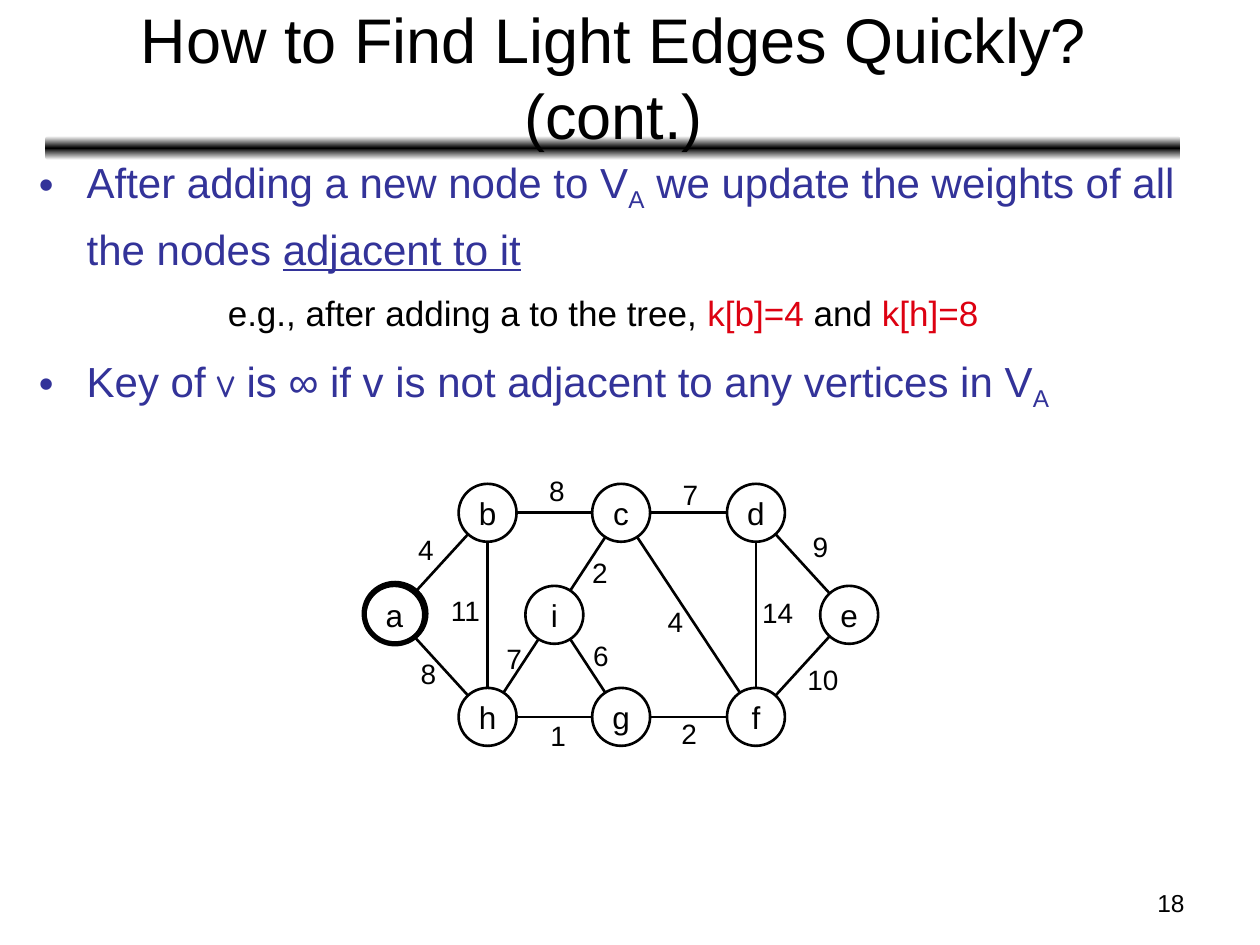
from copy import deepcopy
from math import hypot
from typing import NamedTuple, Optional

from lxml.etree import SubElement
from pptx import Presentation
from pptx.dml.color import RGBColor
from pptx.enum.shapes import MSO_CONNECTOR, MSO_SHAPE
from pptx.enum.text import MSO_ANCHOR, MSO_AUTO_SIZE, PP_ALIGN
from pptx.oxml.ns import qn
from pptx.util import Inches, Pt

COLORS = {"ink": "000000", "paper": "FFFFFF", "point": "333399", "key": "DD0111"}
FONT = "Arial"
NODE_SIZE = 0.46


class Piece(NamedTuple):
    text: str
    color: Optional[str] = None
    font: Optional[str] = None
    subscript: bool = False
    underline: bool = False


class Point(NamedTuple):
    pieces: list[Piece]
    size: int
    color: str
    margin: float
    space_before: int
    bullet: bool = True


class Edge(NamedTuple):
    start: str
    end: str
    weight: int
    label_left: float
    label_top: float


POINTS = [
    Point([Piece("After adding a new node to V"), Piece("A", subscript=True),
           Piece(" we update the weights of all the nodes "),
           Piece("adjacent to it", underline=True)], 24, "point", 0.38, 0),
    Point([Piece("e.g., after adding a to the tree, "), Piece("k[b]=4", "key"),
           Piece(" and "), Piece("k[h]=8", "key")], 20, "ink", 1.5, 5, bullet=False),
    Point([Piece("Key of "), Piece("v", font="Comic Neue"),
           Piece(" is ∞ if v is not adjacent to any vertices in V"),
           Piece("A", subscript=True)], 24, "point", 0.38, 6),
]

TOP, MIDDLE, BOTTOM = 4.07, 4.88, 5.69
NODE_CENTERS = {
    "a": (3.13, MIDDLE), "b": (3.87, TOP), "c": (4.93, TOP),
    "d": (6.0, TOP), "e": (6.74, MIDDLE), "h": (3.87, BOTTOM),
    "g": (4.93, BOTTOM), "f": (6.0, BOTTOM), "i": (4.4, MIDDLE),
}
EDGES = [
    Edge("a", "b", 4, 3.22, 4.18), Edge("b", "c", 8, 4.26, 3.71),
    Edge("c", "d", 7, 5.32, 3.74), Edge("a", "h", 8, 3.24, 5.16),
    Edge("b", "h", 11, 3.48, 4.66), Edge("h", "g", 1, 4.27, 5.65),
    Edge("g", "f", 2, 5.31, 5.64), Edge("h", "i", 7, 3.92, 5.04),
    Edge("i", "c", 2, 4.6, 4.36), Edge("c", "f", 4, 5.2, 4.75),
    Edge("d", "f", 14, 5.95, 4.68), Edge("d", "e", 9, 6.35, 4.15),
    Edge("f", "e", 10, 6.31, 5.21), Edge("i", "g", 6, 4.61, 5.02),
]


def rgb(color: str) -> RGBColor:
    return RGBColor.from_string(COLORS[color])


def set_font(font, size: int, color: str = "ink") -> None:
    font.name, font.size = FONT, Pt(size)
    font.color.rgb = rgb(color)


def add_label(shapes, text: str, box: tuple, size: int, align=PP_ALIGN.LEFT, wrap=False):
    label = shapes.add_textbox(*map(Inches, box))
    label.text_frame.word_wrap = wrap
    paragraph = label.text_frame.paragraphs[0]
    paragraph.text, paragraph.alignment = text, align
    set_font(paragraph.font, size)
    return label


def add_divider(slide) -> None:
    """Draw the bar that fades at both edges, behind the title."""
    bar = slide.shapes.add_shape(
        MSO_SHAPE.ROUNDED_RECTANGLE, Inches(0.36), Inches(1.08), Inches(9.01), Inches(0.19))
    bar.shadow.inherit = False
    bar.line.fill.background()
    bar.fill.gradient()
    bar.fill.gradient_angle = 90
    stops = next(bar.element.iter(qn("a:gsLst")))
    stops.append(deepcopy(stops[0]))
    for stop, position, color in zip(bar.fill.gradient_stops, (0, 0.5, 1),
                                     ("paper", "ink", "paper")):
        stop.position = position
        stop.color.rgb = rgb(color)
    slide.shapes.element.insert(2, bar.element)


def add_title(slide, text: str) -> None:
    title = slide.shapes.title
    title.left, title.top = Inches(0.37), Inches(0.11)
    title.width, title.height = Inches(9), Inches(0.99)
    frame = title.text_frame
    frame.text = text
    frame.auto_size = MSO_AUTO_SIZE.NONE
    frame.vertical_anchor = MSO_ANCHOR.MIDDLE
    frame.paragraphs[0].alignment = PP_ALIGN.CENTER
    set_font(frame.paragraphs[0].font, 36)


def format_point(paragraph, point: Point) -> None:
    paragraph.line_spacing = 1.2
    paragraph.space_before = Pt(point.space_before)
    properties = paragraph._p.get_or_add_pPr()
    properties.set("marL", str(Inches(point.margin)))
    if point.bullet:
        properties.set("indent", str(-Inches(point.margin)))
        bullet_color = SubElement(properties, qn("a:buClr"))
        SubElement(bullet_color, qn("a:srgbClr"), val=COLORS[point.color])
        SubElement(properties, qn("a:buFont"), typeface=FONT)
        SubElement(properties, qn("a:buChar"), char="•")
    set_font(paragraph.font, point.size, point.color)


def add_points(slide, points: list[Point]) -> None:
    body = slide.shapes.add_textbox(Inches(0.21), Inches(1.1), Inches(9.6), Inches(6.07))
    frame = body.text_frame
    frame.word_wrap = True
    for index, point in enumerate(points):
        paragraph = frame.add_paragraph() if index else frame.paragraphs[0]
        format_point(paragraph, point)
        for piece in point.pieces:
            run = paragraph.add_run()
            run.text = piece.text
            if piece.color:
                run.font.color.rgb = rgb(piece.color)
            if piece.font:
                run.font.name = piece.font
            if piece.underline:
                run.font.underline = True
            if piece.subscript:
                run.font._element.set("baseline", "-25000")


def add_circle(shapes, box: tuple, weight: float):
    circle = shapes.add_shape(MSO_SHAPE.OVAL, *map(Inches, box))
    circle.shadow.inherit = False
    circle.fill.background()
    circle.line.color.rgb, circle.line.width = rgb("ink"), Pt(weight)
    return circle


def add_node(shapes, name: str) -> None:
    x, y = NODE_CENTERS[name]
    radius = NODE_SIZE / 2
    node = add_circle(shapes, (x - radius, y - radius, NODE_SIZE, NODE_SIZE), 1.5)
    frame = node.text_frame
    frame.word_wrap = False
    frame.vertical_anchor = MSO_ANCHOR.MIDDLE
    frame.text = name
    frame.paragraphs[0].alignment = PP_ALIGN.CENTER
    set_font(frame.paragraphs[0].font, 18)


def add_edge(shapes, edge: Edge) -> None:
    """Join two node rims along the line between their centres, with the weight beside it."""
    (x1, y1), (x2, y2) = NODE_CENTERS[edge.start], NODE_CENTERS[edge.end]
    scale = NODE_SIZE / 2 / hypot(x2 - x1, y2 - y1)
    dx, dy = (x2 - x1) * scale, (y2 - y1) * scale
    line = shapes.add_connector(
        MSO_CONNECTOR.STRAIGHT, *map(Inches, (x1 + dx, y1 + dy, x2 - dx, y2 - dy)))
    line.line.color.rgb, line.line.width = rgb("ink"), Pt(1.5)
    SubElement(line.element.spPr, qn("a:effectLst"))
    width = 0.47 if edge.weight > 9 else 0.32
    label = add_label(shapes, str(edge.weight), (edge.label_left, edge.label_top, width, 0.37), 16)
    label.text_frame.auto_size = MSO_AUTO_SIZE.SHAPE_TO_FIT_TEXT


def main() -> None:
    deck = Presentation()
    deck.slide_width, deck.slide_height = Inches(10), Inches(7.5)
    slide = deck.slides.add_slide(deck.slide_layouts[5])
    add_divider(slide)
    add_label(slide.shapes, "18", (7.17, 7, 2.33, 0.35), 14, PP_ALIGN.RIGHT, wrap=True)
    add_title(slide, "How to Find Light Edges Quickly? (cont.)")
    add_points(slide, POINTS)
    graph = slide.shapes.add_group_shape()
    for name in NODE_CENTERS:
        add_node(graph.shapes, name)
    for edge in EDGES:
        add_edge(graph.shapes, edge)
    add_circle(slide.shapes, (2.89, 4.63, 0.49, 0.48), 3)
    deck.save("out.pptx")


if __name__ == "__main__":
    main()
